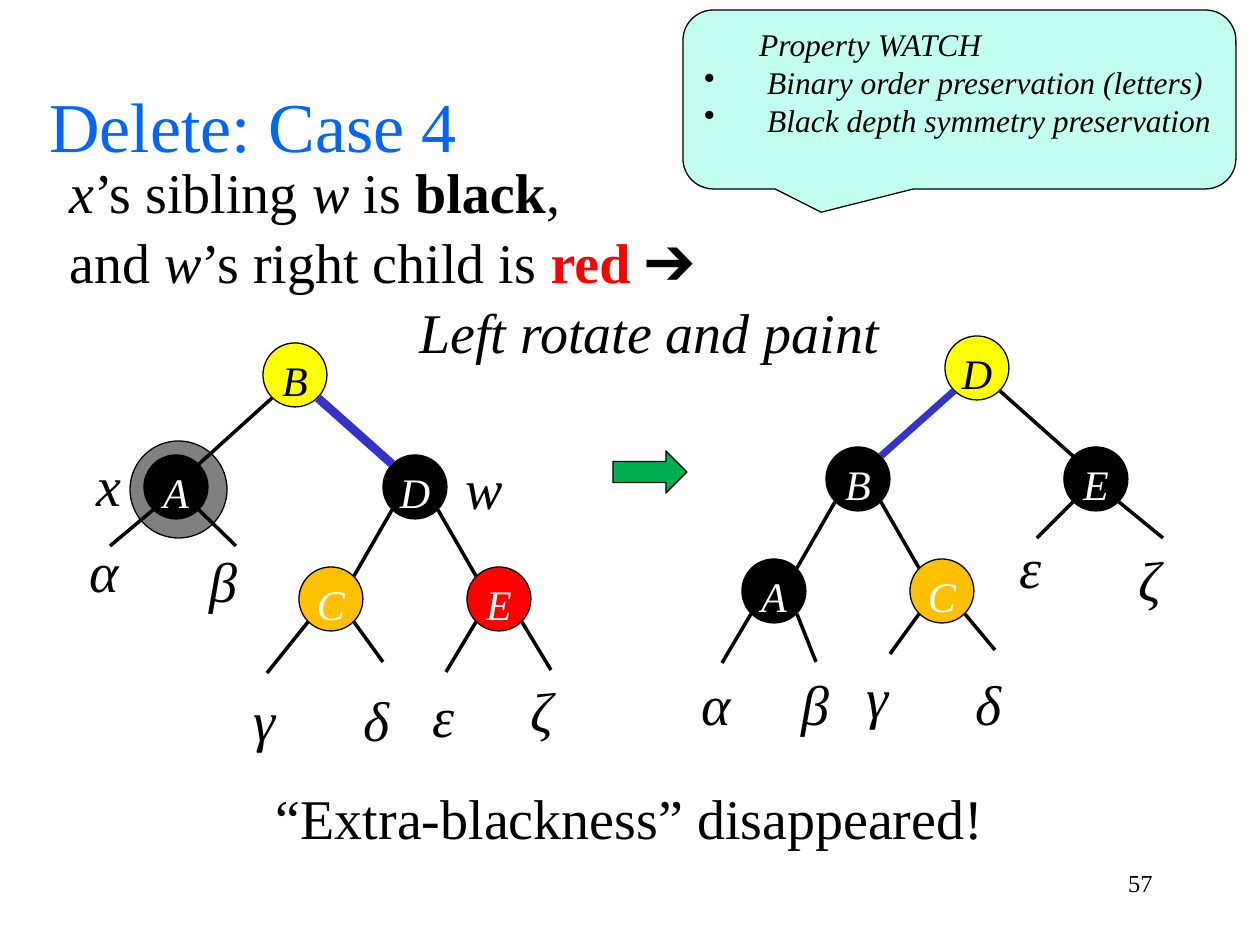
"""Build the slide on case 4 of red-black tree deletion."""
import pptx
import pptx.dml.color
import pptx.enum.shapes
import pptx.enum.text
import pptx.oxml.xmlchemy
import pptx.util

px = 7257
preset = pptx.enum.shapes.MSO_SHAPE
align = pptx.enum.text.PP_ALIGN
straight = pptx.enum.shapes.MSO_CONNECTOR.STRAIGHT


def color(target, value):
    target.rgb = pptx.dml.color.RGBColor.from_string(value)


def write(paragraph, text, size, ink="000000", italic=False, bold=False):
    run = paragraph.add_run()
    run.text = text
    run.font.name = "Times New Roman"
    run.font.size = pptx.util.Pt(size)
    run.font.italic = italic
    run.font.bold = bold
    color(run.font.color, ink)


deck = pptx.Presentation()
deck.slide_width = pptx.util.Inches(10)
deck.slide_height = pptx.util.Inches(7.5)
slide = deck.slides.add_slide(deck.slide_layouts[6])
shapes = slide.shapes

before = {
    "B": (295, 375, "FFFF00"),
    "A": (176, 487, "000000"),
    "D": (415, 487, "000000"),
    "C": (331, 599, "FFC000"),
    "E": (499, 599, "FF0000"),
}
after = {
    "D": (977, 368, "FFFF00"),
    "E": (1096, 479, "000000"),
    "B": (858, 479, "000000"),
    "C": (942, 591, "FFC000"),
    "A": (774, 591, "000000"),
}
before_edges = [("BA", "000000", 2), ("BD", "3333CC", 5), ("DC", "000000", 2), ("DE", "000000", 2)]
after_edges = [("DE", "000000", 2), ("DB", "3333CC", 4), ("BC", "000000", 2), ("BA", "000000", 2)]
before_subtrees = {
    "A": [(110, 546), (236, 546)],
    "C": [(267, 673), (383, 662)],
    "E": [(446, 672), (551, 670)],
}
after_subtrees = {
    "E": [(1037, 538), (1163, 538)],
    "C": [(890, 654), (995, 650)],
    "A": [(722, 663), (816, 662)],
}

outlined = [
    (preset.RIGHT_ARROW, 613, 451, 74, 42, "00B050", ""),
    (preset.OVAL, 130, 441, 97, 97, "808080", ""),
]
for tree in (before, after):
    for key, (x, y, fill) in tree.items():
        outlined.append((preset.OVAL, x - 32, y - 32, 64, 64, fill, key))
outlined.append((preset.ROUNDED_RECTANGULAR_CALLOUT, 683, 10, 553, 179, "C2FFF0", ""))

for kind, left, top, width, height, fill, key in outlined:
    shape = shapes.add_shape(kind, left * px, top * px, width * px, height * px)
    shape.shadow.inherit = False
    shape.fill.solid()
    color(shape.fill.fore_color, fill)
    color(shape.line.color, "000000")
    shape.line.width = pptx.util.Pt(0.75)
    frame = shape.text_frame
    frame.vertical_anchor = pptx.enum.text.MSO_ANCHOR.TOP
    if key:
        frame.margin_left = frame.margin_right = frame.margin_top = frame.margin_bottom = 0
        frame.paragraphs[0].alignment = align.CENTER
        frame.paragraphs[0].line_spacing = 1.04
        write(frame.paragraphs[0], key, 24, "000000" if fill == "FFFF00" else "FFFFFF", True)

callout = shape
for position, amount in enumerate((-0.25, 0.63, 0.17)):
    callout.adjustments[position] = amount
heading = callout.text_frame.paragraphs[0]
heading.alignment = align.LEFT
heading._p.get_or_add_pPr().set("marL", str(55 * px))
write(heading, "Property WATCH", 18, italic=True)
for rule in ("Binary order preservation (letters)", "Black depth symmetry preservation"):
    item = callout.text_frame.add_paragraph()
    item.alignment = align.LEFT
    properties = item._p.get_or_add_pPr()
    properties.set("marL", str(63 * px))
    properties.set("indent", str(-63 * px))
    bullet = pptx.oxml.xmlchemy.OxmlElement("a:buChar")
    bullet.set("char", "•")
    properties.append(bullet)
    write(item, rule, 18, italic=True)

segments = []
for tree, edges, subtrees in (
    (before, before_edges, before_subtrees),
    (after, after_edges, after_subtrees),
):
    for (parent, child), ink, weight in edges:
        x, y, _ = tree[parent]
        child_x, child_y, _ = tree[child]
        side = 23 if child_x > x else -23
        segments.append((x + side, y + 23, child_x - side, child_y - 23, ink, weight))
    for parent, ends in subtrees.items():
        x, y, _ = tree[parent]
        for side, (end_x, end_y) in zip((-23, 23), ends):
            segments.append((x + side, y + 23, end_x, end_y, "000000", 2))

for x1, y1, x2, y2, ink, weight in segments:
    branch = shapes.add_connector(straight, x1 * px, y1 * px, x2 * px, y2 * px)
    color(branch.line.color, ink)
    branch.line.width = pptx.util.Pt(weight)
    branch._element.spPr.append(pptx.oxml.xmlchemy.OxmlElement("a:effectLst"))

texts = [
    ("Delete: Case 4", 37, 73, 640, 90, 40, "0066FF", False, align.LEFT),
    ("“Extra-blackness” disappeared!", 0, 775, 1260, 81, 32, "000000", False, align.CENTER),
    ("57", 903, 861, 262, 63, 14, "000000", False, align.RIGHT),
]
labels = [
    ("x", 109, 442), ("w", 484, 445), ("α", 104, 528), ("β", 223, 538), ("γ", 265, 677),
    ("δ", 377, 677), ("ε", 444, 673), ("ζ", 542, 668), ("α", 716, 661), ("β", 815, 661),
    ("γ", 878, 654), ("δ", 989, 661), ("ε", 1031, 524), ("ζ", 1150, 537),
]
for letter, x, top in labels:
    texts.append((letter, x - 40, top, 80, 80, 32, "000000", True, align.CENTER))
for text, left, top, width, height, size, ink, italic, side in texts:
    frame = shapes.add_textbox(left * px, top * px, width * px, height * px).text_frame
    frame.word_wrap = True
    frame.paragraphs[0].alignment = side
    frame.paragraphs[0].line_spacing = 1.04
    write(frame.paragraphs[0], text, size, ink, italic)

condition = shapes.add_textbox(57 * px, 149 * px, 1200 * px, 217 * px).text_frame
condition.word_wrap = True
case = condition.paragraphs[0]
case.line_spacing = 1.04
write(case, "x", 32, italic=True)
write(case, "’s sibling ", 32)
write(case, "w", 32, italic=True)
write(case, " is ", 32)
write(case, "black", 32, bold=True)
write(case, ",", 32)
case.add_line_break()
write(case, "and ", 32)
write(case, "w", 32, italic=True)
write(case, "’s right child is ", 32)
write(case, "red ", 32, "FF0000", bold=True)
write(case, "➔", 32, bold=True)
action = condition.add_paragraph()
action.line_spacing = 1.04
action._p.get_or_add_pPr().set("marL", str(350 * px))
write(action, "Left rotate and paint", 32, italic=True)

deck.save("out.pptx")
